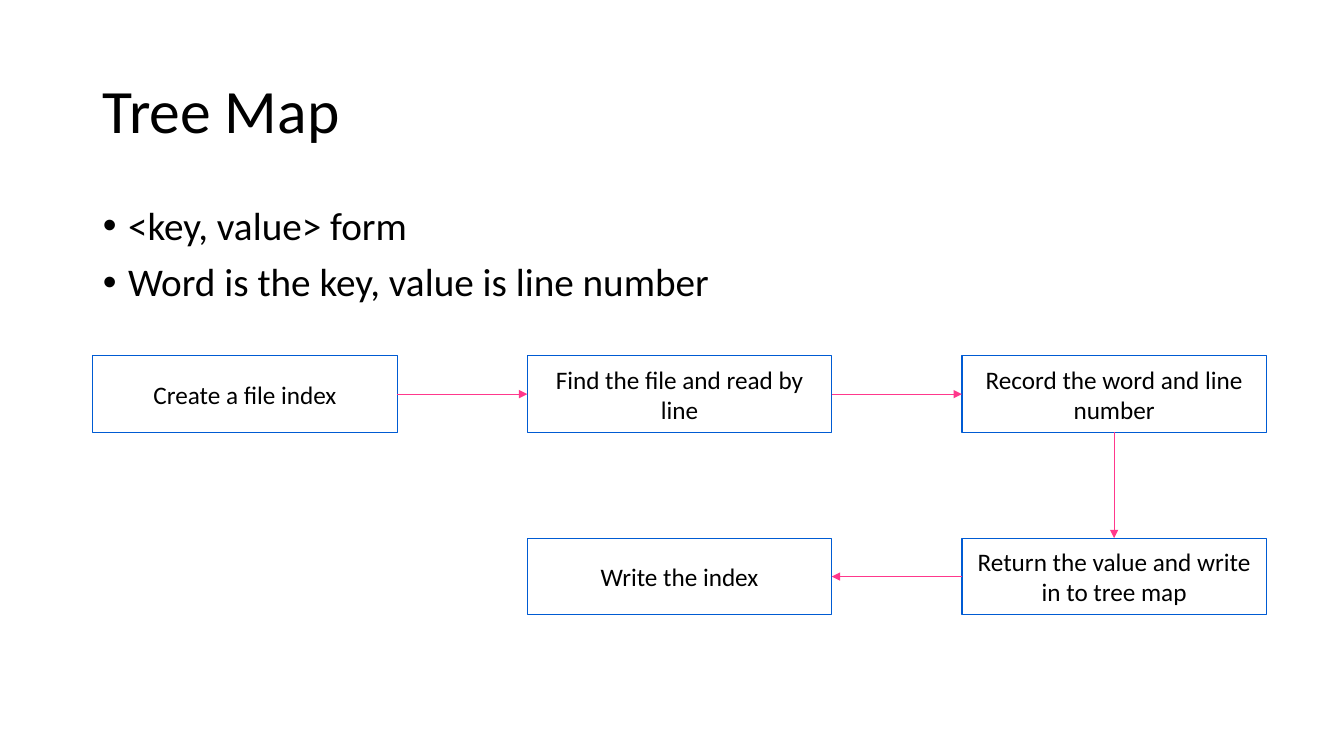
import pptx
import pptx.util
import pptx.dml.color
import pptx.enum.shapes
import pptx.enum.text
import pptx.oxml
import pptx.oxml.ns

Inches, Pt = pptx.util.Inches, pptx.util.Pt
RGB = pptx.dml.color.RGBColor.from_string
ALIGN = pptx.enum.text.PP_ALIGN
ANCHOR = pptx.enum.text.MSO_ANCHOR

COLORS = {"text": "000000", "box": "FFFFFF", "border": "005BD3", "arrow": "FF388C"}
LEFT = 0.92
CONTENT_WIDTH = 11.5
FLOW_TOP = 3.53
COLUMN_STEP, ROW_STEP = 4.31, 1.81
BOX_WIDTH, BOX_HEIGHT = 3.02, 0.76
TOP, SIDE_LEFT, BOTTOM, SIDE_RIGHT = range(4)  # connection sites of a rectangle


def write(paragraph, text, size=18, align=ALIGN.LEFT, line_spacing=1.0, before=0):
    paragraph.alignment = align
    paragraph.line_spacing = line_spacing
    paragraph.space_before = Pt(before)
    run = paragraph.add_run()
    run.text = text
    run.font.name = "Calibri"
    run.font.size = Pt(size)
    run.font.color.rgb = RGB(COLORS["text"])


def place(placeholder, top, height, anchor):
    placeholder.left, placeholder.top = Inches(LEFT), Inches(top)
    placeholder.width, placeholder.height = Inches(CONTENT_WIDTH), Inches(height)
    placeholder.text_frame.vertical_anchor = anchor
    placeholder.text_frame.auto_size = pptx.enum.text.MSO_AUTO_SIZE.NONE


deck = pptx.Presentation()
deck.slide_width, deck.slide_height = Inches(13.33), Inches(7.5)
slide = deck.slides.add_slide(deck.slide_layouts[1])

# Title and bullet list
title = slide.shapes.title
place(title, 0.4, 1.45, ANCHOR.MIDDLE)
write(title.text_frame.paragraphs[0], "Tree Map", size=44, line_spacing=0.9)

points = slide.placeholders[1]
place(points, 2, 4.76, ANCHOR.TOP)
for index, point in enumerate(["<key, value> form", "Word is the key, value is line number"]):
    frame = points.text_frame
    paragraph = frame.add_paragraph() if index else frame.paragraphs[0]
    write(paragraph, point, size=28, line_spacing=0.9, before=10)
    properties = paragraph._p.get_or_add_pPr()
    properties.set("marL", str(Inches(0.25)))
    properties.set("indent", str(Inches(-0.25)))

# Flow steps as (text, column, row)
steps = [
    ("Create a file index", 0, 0),
    ("Find the file and read by line", 1, 0),
    ("Record the word and line number", 2, 0),
    ("Return the value and write in to tree map", 2, 1),
    ("Write the index", 1, 1),
]
boxes = []
for text, column, row in steps:
    box = slide.shapes.add_shape(
        pptx.enum.shapes.MSO_SHAPE.RECTANGLE,
        Inches(LEFT + column * COLUMN_STEP), Inches(FLOW_TOP + row * ROW_STEP),
        Inches(BOX_WIDTH), Inches(BOX_HEIGHT))
    box.shadow.inherit = False
    box.fill.solid()
    box.fill.fore_color.rgb = RGB(COLORS["box"])
    box.line.color.rgb = RGB(COLORS["border"])
    box.line.width = Pt(1)
    box.text_frame.word_wrap = True
    box.text_frame.vertical_anchor = ANCHOR.MIDDLE
    write(box.text_frame.paragraphs[0], text, align=ALIGN.CENTER)
    boxes.append(box)

# Each arrow joins a step to the next one, as (leaving site, arriving site)
sites = [(SIDE_RIGHT, SIDE_LEFT), (SIDE_RIGHT, SIDE_LEFT), (BOTTOM, TOP), (SIDE_LEFT, SIDE_RIGHT)]
for source, target, (leaving, arriving) in zip(boxes, boxes[1:], sites):
    arrow = slide.shapes.add_connector(pptx.enum.shapes.MSO_CONNECTOR.STRAIGHT, 0, 0, 0, 0)
    arrow.begin_connect(source, leaving)
    arrow.end_connect(target, arriving)
    arrow.line.color.rgb = RGB(COLORS["arrow"])
    arrow.line.width = Pt(0.5)
    head = pptx.oxml.parse_xml(f'<a:tailEnd {pptx.oxml.ns.nsdecls("a")} type="triangle"/>')
    arrow.line._get_or_add_ln().append(head)
    no_effects = pptx.oxml.parse_xml(f'<a:effectLst {pptx.oxml.ns.nsdecls("a")}/>')
    arrow._element.spPr.append(no_effects)

deck.save("out.pptx")
